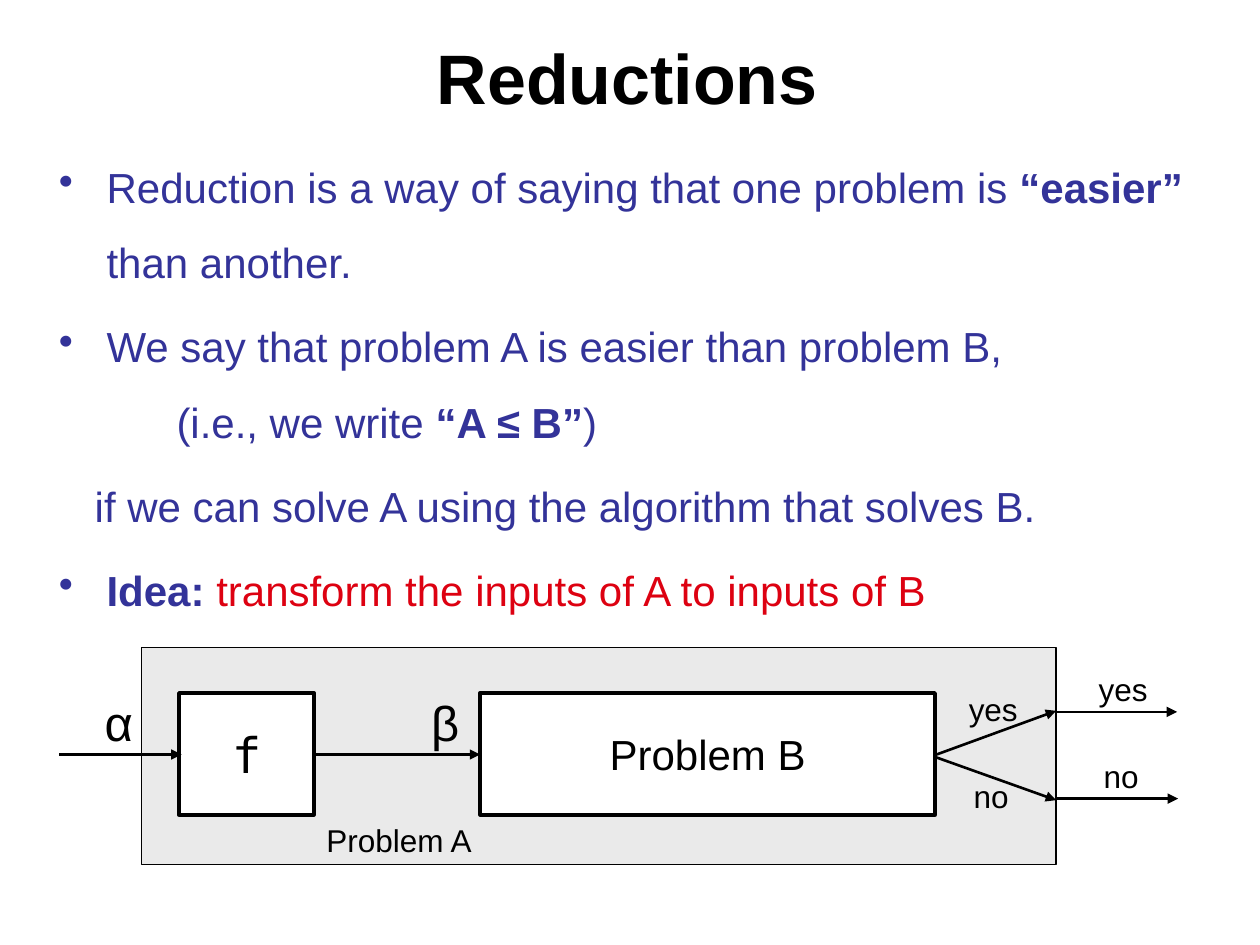
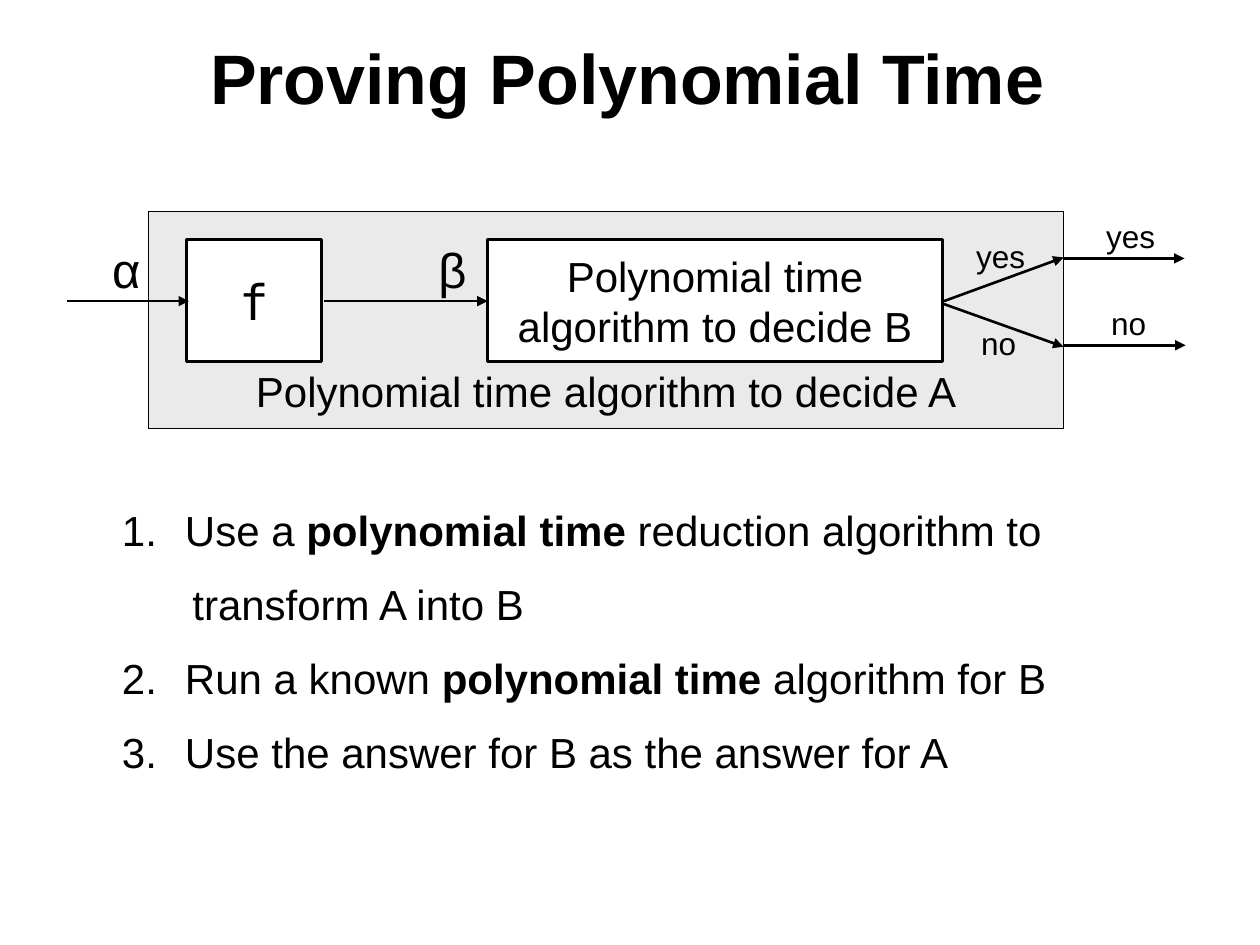
"""Build two slides on reductions and polynomial time."""
from lxml.etree import SubElement
from pptx import Presentation
from pptx.dml.color import RGBColor
from pptx.enum.shapes import MSO_CONNECTOR, MSO_SHAPE
from pptx.enum.text import MSO_ANCHOR, PP_ALIGN
from pptx.oxml.ns import qn
from pptx.util import Cm, Pt

BLACK = RGBColor(0, 0, 0)
WHITE = RGBColor(255, 255, 255)
GREY = RGBColor(0xEA, 0xEA, 0xEA)
BLUE = RGBColor(0x33, 0x33, 0x99)
RED = RGBColor(0xDD, 0x01, 0x11)
SANS = "Arial"
MONO = "DejaVu Sans Mono"


def write(frame, rows, size=24, font=SANS, color=BLACK, bold=False,
          align=PP_ALIGN.LEFT, anchor=MSO_ANCHOR.TOP, wrap=False):
    """Fill a frame with rows, each a string or a list of (text, bold, color) runs."""
    frame.word_wrap = wrap
    frame.vertical_anchor = anchor
    for num, row in enumerate(rows):
        para = frame.add_paragraph() if num else frame.paragraphs[0]
        para.alignment = align
        for text, strong, tint in [(row, bold, color)] if isinstance(row, str) else row:
            run = para.add_run()
            run.text = text
            run.font.name, run.font.size = font, Pt(size)
            run.font.bold, run.font.color.rgb = strong, tint


def block(group, left, top, width, height, fill, line):
    """Add a plain outlined box to the group and return its text frame."""
    shape = group.shapes.add_shape(MSO_SHAPE.RECTANGLE, Cm(left), Cm(top), Cm(width), Cm(height))
    shape.shadow.inherit = False
    shape.fill.solid()
    shape.fill.fore_color.rgb = fill
    shape.line.color.rgb = BLACK
    shape.line.width = Pt(line)
    return shape.text_frame


BULLET = ("buChar", {"char": "•"})
FIRST = ("buAutoNum", {"type": "arabicPeriod"})
NEXT = ("buAutoNum", {"type": "arabicPeriod", "startAt": "2"})
PLAIN = ("buNone", {})

# Rows hold left margin, first-line indent, space before, marker and runs.
SLIDES = [
    dict(
        title="Reductions", left=3.61, top=13.97, rise=0.91,
        solver=["Problem B"], whole=None, body=(0.94, 2.62, 24.13, 10.06), lead=1.5,
        rows=[
            (0.96, -0.96, 0, BULLET, [
                ("Reduction is a way of saying that one problem is ", False, BLUE),
                ("“easier”", True, BLUE), (" than another.", False, BLUE)]),
            (0.96, -0.96, 4.8, BULLET, [
                ("We say that problem A is easier than problem B,", False, BLUE)]),
            (2.37, 0, 0, PLAIN, [
                ("(i.e., we write ", False, BLUE), ("“A ≤ B”", True, BLUE), (")", False, BLUE)]),
            (0.72, 0, 4.8, PLAIN, [
                ("if we can solve A using the algorithm that solves B.", False, BLUE)]),
            (0.96, -0.96, 4.8, BULLET, [
                ("Idea: ", True, BLUE),
                ("transform the inputs of A to inputs of B", False, RED)]),
        ]),
    dict(
        title="Proving Polynomial Time", left=3.76, top=4.83, rise=0.56,
        solver=["Polynomial time", "algorithm to decide B"],
        whole="Polynomial time algorithm to decide A",
        body=(0.94, 9.75, 23.6, 8.51), lead=1.3,
        rows=[
            (2.54, -1.27, 0, FIRST, [
                ("Use a ", False, BLACK), ("polynomial time", True, BLACK),
                (" reduction algorithm to", False, BLACK)]),
            (2.69, 0, 4.8, PLAIN, [("transform A into B", False, BLACK)]),
            (2.54, -1.27, 4.8, NEXT, [
                ("Run a known ", False, BLACK), ("polynomial time", True, BLACK),
                (" algorithm for B", False, BLACK)]),
            (2.54, -1.27, 4.8, NEXT, [
                ("Use the answer for B as the answer for A", False, BLACK)]),
        ]),
]

ARROWS = [
    (-2.41, 1.24, 0.05, 1.24), (2.77, 1.24, 6.07, 1.24),
    (15.27, 1.24, 17.68, 0.36), (15.27, 1.3, 17.68, 2.16),
    (17.66, 0.38, 20.12, 0.38), (17.68, 2.13, 20.14, 2.13),
]
LABELS = [
    ("α", -1.75, -0.13, 1.14, 28), ("β", 4.83, -0.13, 1.04, 28),
    ("yes", 15.67, -0.18, 1.5, 18), ("no", 15.77, 1.57, 1.22, 18),
    ("yes", 18.29, -0.58, 1.5, 18), ("no", 18.39, 1.17, 1.22, 18),
]
MIDDLE = dict(align=PP_ALIGN.CENTER, anchor=MSO_ANCHOR.MIDDLE)

deck = Presentation()
deck.slide_width, deck.slide_height = Cm(25.4), Cm(19.05)

for data in SLIDES:
    slide = deck.slides.add_slide(deck.slide_layouts[5])
    title = slide.shapes.title
    title.left, title.top, title.width, title.height = Cm(0.48), Cm(0.28), Cm(24.33), Cm(2.51)
    write(title.text_frame, [data["title"]], size=40, bold=True, wrap=True, **MIDDLE)

    body = slide.shapes.add_textbox(*[Cm(side) for side in data["body"]]).text_frame
    write(body, [row[-1] for row in data["rows"]], wrap=True)
    for para, (margin, indent, before, (tag, attrs), runs) in zip(body.paragraphs, data["rows"]):
        para.line_spacing = data["lead"]
        para.space_before = Pt(before)
        props = para._p.get_or_add_pPr()
        props.set("marL", str(Cm(margin)))
        props.set("indent", str(Cm(indent)))
        SubElement(props, qn("a:" + tag), attrs)

    left, top = data["left"], data["top"]
    group = slide.shapes.add_group_shape()
    panel = block(group, left - 0.76, top - data["rise"], 18.44, 4.37, GREY, 0.75)
    if data["whole"]:
        panel.margin_bottom = Cm(0.25)
        write(panel, [data["whole"]], align=PP_ALIGN.CENTER, anchor=MSO_ANCHOR.BOTTOM)
    write(block(group, left, top, 2.72, 2.46, WHITE, 2), ["f"], size=28, font=MONO, **MIDDLE)
    write(block(group, left + 6.07, top, 9.17, 2.46, WHITE, 2), data["solver"], **MIDDLE)

    for x1, y1, x2, y2 in ARROWS:
        arrow = group.shapes.add_connector(
            MSO_CONNECTOR.STRAIGHT, Cm(left + x1), Cm(top + y1), Cm(left + x2), Cm(top + y2))
        arrow.line.color.rgb = BLACK
        arrow.line.width = Pt(1.5)
        SubElement(arrow.line._get_or_add_ln(), qn("a:tailEnd"), {"type": "triangle"})
        SubElement(arrow._element.spPr, qn("a:effectLst"))

    labels = LABELS if data["whole"] else LABELS + [("Problem A", 2.72, 2.46, 3.48, 18)]
    for text, x, y, width, size in labels:
        high = 1.45 if size == 28 else 1.02
        label = group.shapes.add_textbox(Cm(left + x), Cm(top + y), Cm(width), Cm(high))
        write(label.text_frame, [text], size=size)

deck.save("out.pptx")
